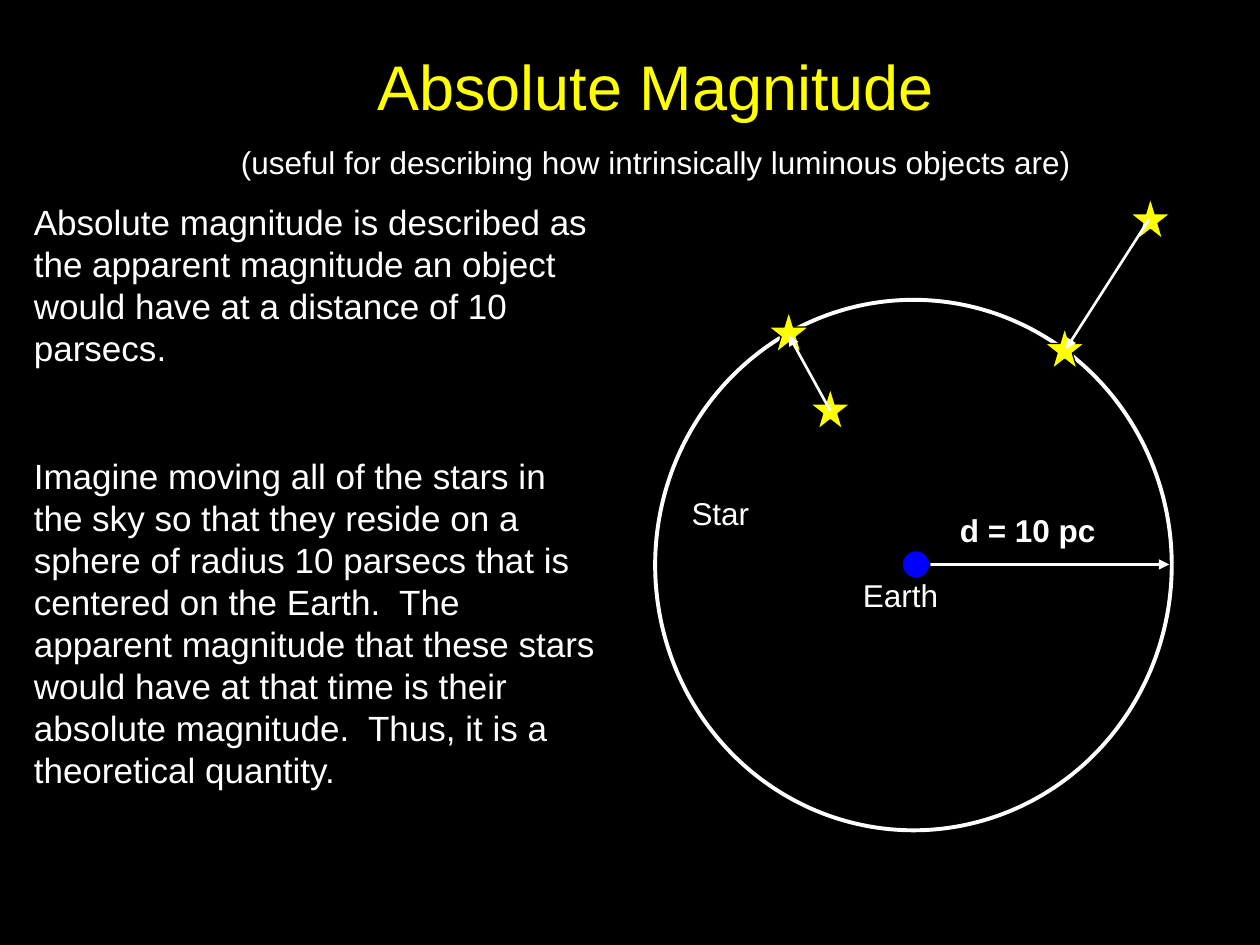
from lxml.etree import SubElement
from pptx import Presentation
from pptx.dml.color import RGBColor
from pptx.enum.shapes import MSO_CONNECTOR as CONNECTOR, MSO_SHAPE as SHAPE
from pptx.enum.text import MSO_ANCHOR as ANCHOR, MSO_AUTO_SIZE as AUTO_SIZE, PP_ALIGN as ALIGN
from pptx.oxml.ns import qn
from pptx.util import Inches, Pt

BLACK = RGBColor(0x00, 0x00, 0x00)
WHITE = RGBColor(0xFF, 0xFF, 0xFF)
YELLOW = RGBColor(0xFF, 0xFF, 0x00)
BLUE = RGBColor(0x00, 0x00, 0xFF)

prs = Presentation()
prs.slide_width, prs.slide_height = Inches(10), Inches(7.5)
slide = prs.slides.add_slide(prs.slide_layouts[5])
slide.background.fill.solid()
slide.background.fill.fore_color.rgb = BLACK


def write(box, lines, align=ALIGN.LEFT):
    frame = box.text_frame
    frame.word_wrap = True
    frame.auto_size = AUTO_SIZE.NONE
    frame.vertical_anchor = ANCHOR.TOP
    for i, (text, size, color, bold, before) in enumerate(lines):
        para = frame.add_paragraph() if i else frame.paragraphs[0]
        para.alignment = align
        para.line_spacing = Pt(size * 1.2)
        para.space_before = Pt(before)
        run = para.add_run()
        run.text = text
        run.font.name = "Arial"
        run.font.size = Pt(size)
        run.font.bold = bold
        run.font.color.rgb = color


def add_arrow(start, end):
    arrow = slide.shapes.add_connector(CONNECTOR.STRAIGHT, *map(Inches, start + end))
    arrow.line.color.rgb = WHITE
    arrow.line.width = Pt(1.5)
    SubElement(arrow.line._get_or_add_ln(), qn("a:tailEnd"), type="triangle")
    SubElement(arrow._element.spPr, qn("a:effectLst"))


title = slide.shapes.title
title.left, title.top, title.width, title.height = map(Inches, (1.58, 0.33, 7.25, 1.62))
write(title, [
    ("Absolute Magnitude", 36, YELLOW, False, 0),
    ("(useful for describing how intrinsically luminous objects are)", 18, WHITE, False, 11.2),
], ALIGN.CENTER)

explanation = slide.shapes.add_textbox(*map(Inches, (0.17, 1.54, 4.71, 4.79)))
write(explanation, [
    ("Absolute magnitude is described as the apparent magnitude an object would have "
     "at a distance of 10 parsecs.", 20, WHITE, False, 0),
    ("Imagine moving all of the stars in the sky so that they reside on a sphere of "
     "radius 10 parsecs that is centered on the Earth.  The apparent magnitude that "
     "these stars would have at that time is their absolute magnitude.  Thus, it is a "
     "theoretical quantity.", 20, WHITE, False, 49),
])

add_arrow((7.26, 4.48), (9.28, 4.48))

STAR_SIZE = (0.32, 0.33)
bodies = [
    (SHAPE.OVAL, (5.2, 2.38), (4.1, 4.21), None, WHITE, 2.25),
    (SHAPE.OVAL, (7.16, 4.37), (0.22, 0.22), BLUE, BLACK, 0.75),
]
for corner in [(8.97, 1.57), (6.43, 3.08), (6.1, 2.47), (8.29, 2.6)]:
    bodies.append((SHAPE.STAR_5_POINT, corner, STAR_SIZE, YELLOW, BLACK, 0.75))
for kind, corner, size, fill, outline, weight in bodies:
    body = slide.shapes.add_shape(kind, *map(Inches, corner + size))
    body.shadow.inherit = False
    if fill is None:
        body.fill.background()
    else:
        body.fill.solid()
        body.fill.fore_color.rgb = fill
    body.line.color.rgb = outline
    body.line.width = Pt(weight)

for text, left, top, width, bold in [
    ("d = 10 pc", 7.52, 4.01, 2.22, True),
    ("Earth", 6.75, 4.52, 1.09, False),
    ("Star", 5.39, 3.87, 0.94, False),
]:
    label = slide.shapes.add_textbox(*map(Inches, (left, top, width, 0.4)))
    write(label, [(text, 18, WHITE, bold, 0)])

add_arrow((9.12, 1.74), (8.46, 2.77))
add_arrow((6.59, 3.26), (6.26, 2.66))

prs.save("out.pptx")
